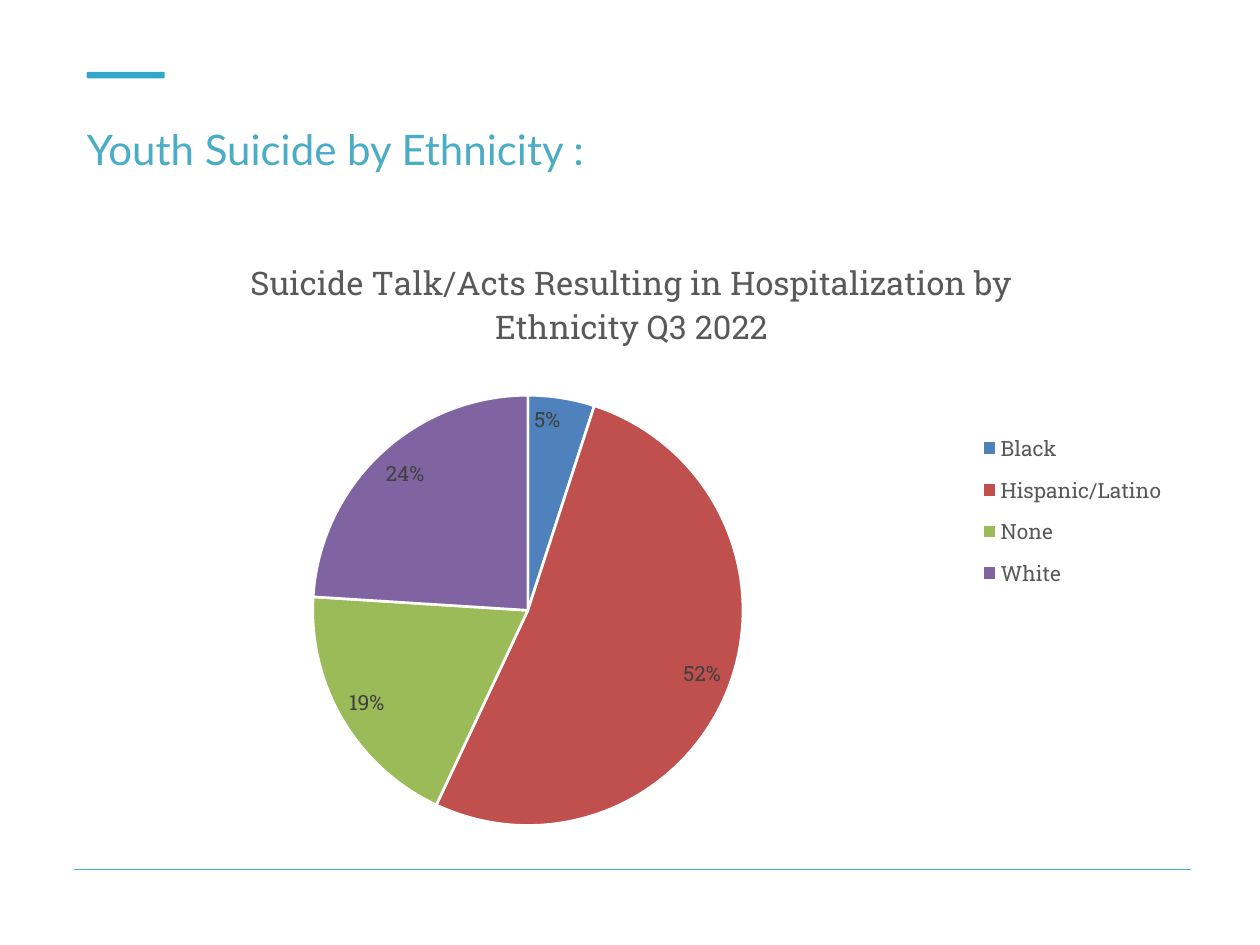
from lxml import etree
from pptx import Presentation
from pptx.chart.data import CategoryChartData
from pptx.dml.color import RGBColor
from pptx.enum.chart import XL_CHART_TYPE, XL_LABEL_POSITION, XL_LEGEND_POSITION
from pptx.enum.shapes import MSO_CONNECTOR, MSO_SHAPE
from pptx.enum.text import MSO_ANCHOR, MSO_AUTO_SIZE
from pptx.oxml.ns import qn
from pptx.util import Cm, Pt

PIE = XL_CHART_TYPE.PIE
INSIDE_END = XL_LABEL_POSITION.INSIDE_END
RIGHT = XL_LEGEND_POSITION.RIGHT
STRAIGHT = MSO_CONNECTOR.STRAIGHT
ROUNDED = MSO_SHAPE.ROUNDED_RECTANGLE
MIDDLE = MSO_ANCHOR.MIDDLE
GROW = MSO_AUTO_SIZE.SHAPE_TO_FIT_TEXT

TEAL = RGBColor(0x4B, 0xAC, 0xC6)
RULE = RGBColor(0x46, 0xAA, 0xC5)
ACCENT = RGBColor(0x34, 0xA8, 0xCC)
WHITE = RGBColor(0xFF, 0xFF, 0xFF)
BLACK = RGBColor(0, 0, 0)
GRAY = RGBColor(0x59, 0x59, 0x59)
DARK = RGBColor(0x40, 0x40, 0x40)
BLUE = RGBColor(0x4F, 0x81, 0xBD)
RED = RGBColor(0xC0, 0x50, 0x4D)
GREEN = RGBColor(0x9B, 0xBB, 0x59)
PURPLE = RGBColor(0x80, 0x64, 0xA2)

SHARES = [
    ("Black", 5, BLUE),
    ("Hispanic/Latino", 52, RED),
    ("None", 19, GREEN),
    ("White", 24, PURPLE),
]


def set_font(font, name, size, color):
    font.name = name
    font.size = Pt(size)
    font.bold = False
    font.color.rgb = color


def make_layout(inner=False, **fractions):
    """Return a manual chart layout; x, y, w and h are fractions of the chart."""
    layout = etree.Element(qn("c:layout"))
    manual = etree.SubElement(layout, qn("c:manualLayout"))
    settings = [("layoutTarget", "inner")] if inner else []
    settings += [("xMode", "edge"), ("yMode", "edge"), *fractions.items()]
    for tag, value in settings:
        etree.SubElement(manual, qn(f"c:{tag}")).set("val", str(value))
    return layout


def place(parent, layout, after=None):
    """Put the layout in a chart part, first or after the named child."""
    for old in parent.findall(qn("c:layout")):
        parent.remove(old)
    if after:
        parent.find(qn(after)).addnext(layout)
    else:
        parent.insert(0, layout)


class SlideBuilder:
    heading_font = "Lato"
    chart_font = "Roboto Slab"

    def __init__(self, slide):
        self.slide = slide
        self.shapes = slide.shapes

    def rule(self, x1, x2, y):
        line = self.shapes.add_connector(STRAIGHT, Cm(x1), Cm(y), Cm(x2), Cm(y))
        line.line.color.rgb = RULE
        line.line.width = Pt(0.75)
        etree.SubElement(line._element.spPr, qn("a:effectLst"))

    def heading(self, text, x, y, w, h):
        sp = self.shapes.add_textbox(Cm(x), Cm(y), Cm(w), Cm(h))
        tf = sp.text_frame
        tf.word_wrap = True
        tf.auto_size = GROW
        tf.vertical_anchor = MIDDLE
        p = tf.paragraphs[0]
        p.text = text
        p.space_before = p.space_after = Pt(2)
        set_font(p.font, self.heading_font, 24, TEAL)

    def accent_bar(self, x, y, w, h):
        sp = self.shapes.add_shape(ROUNDED, Cm(x), Cm(y), Cm(w), Cm(h))
        sp.shadow.inherit = False
        sp.fill.solid()
        sp.fill.fore_color.rgb = ACCENT
        sp.line.fill.background()

    def pie(self, title, shares, x, y, w, h):
        names, values, colors = zip(*shares)
        data = CategoryChartData()
        data.categories = names
        data.add_series("Series 1", values)
        chart = self.shapes.add_chart(PIE, Cm(x), Cm(y), Cm(w), Cm(h), data).chart
        set_font(chart.font, self.chart_font, 10, BLACK)

        p = chart.chart_title.text_frame.paragraphs[0]
        p.text = title
        set_font(p.font, self.chart_font, 18.6, GRAY)
        place(chart.chart_title._element, make_layout(x=0.16, y=0.05), after="c:tx")

        chart.has_legend = True
        legend = chart.legend
        legend.position = RIGHT
        legend.include_in_layout = False
        set_font(legend.font, self.chart_font, 12, GRAY)
        place(legend._element, make_layout(x=0.8, y=0.32, w=0.18, h=0.29),
              after="c:legendPos")

        plot = chart.plots[0]
        plot.vary_by_categories = True
        place(plot._element.getparent(),
              make_layout(inner=True, x=0.22, y=0.28, w=0.38, h=0.69))
        for i, color in enumerate(colors):
            fmt = plot.series[0].points[i].format
            fmt.fill.solid()
            fmt.fill.fore_color.rgb = color
            fmt.line.color.rgb = WHITE
            fmt.line.width = Pt(1.5)

        plot.has_data_labels = True
        labels = plot.data_labels
        labels.show_percentage = True
        labels.show_value = False
        labels.number_format = "0%"
        labels.number_format_is_linked = False
        labels.position = INSIDE_END
        set_font(labels.font, self.chart_font, 12, DARK)


def main():
    prs = Presentation()
    prs.slide_width, prs.slide_height = Cm(25.4), Cm(19.05)
    s = SlideBuilder(prs.slides.add_slide(prs.slide_layouts[6]))
    s.rule(1.5, 24, 17.53)
    s.heading("Youth Suicide by Ethnicity :", 1.5, 2.36, 22.5, 1.27)
    s.accent_bar(1.75, 1.45, 1.57, 0.13)
    s.pie("Suicide Talk/Acts Resulting in Hospitalization by Ethnicity Q3 2022",
          SHARES, 1.27, 4.45, 22.86, 12.57)
    prs.save("out.pptx")


if __name__ == "__main__":
    main()
